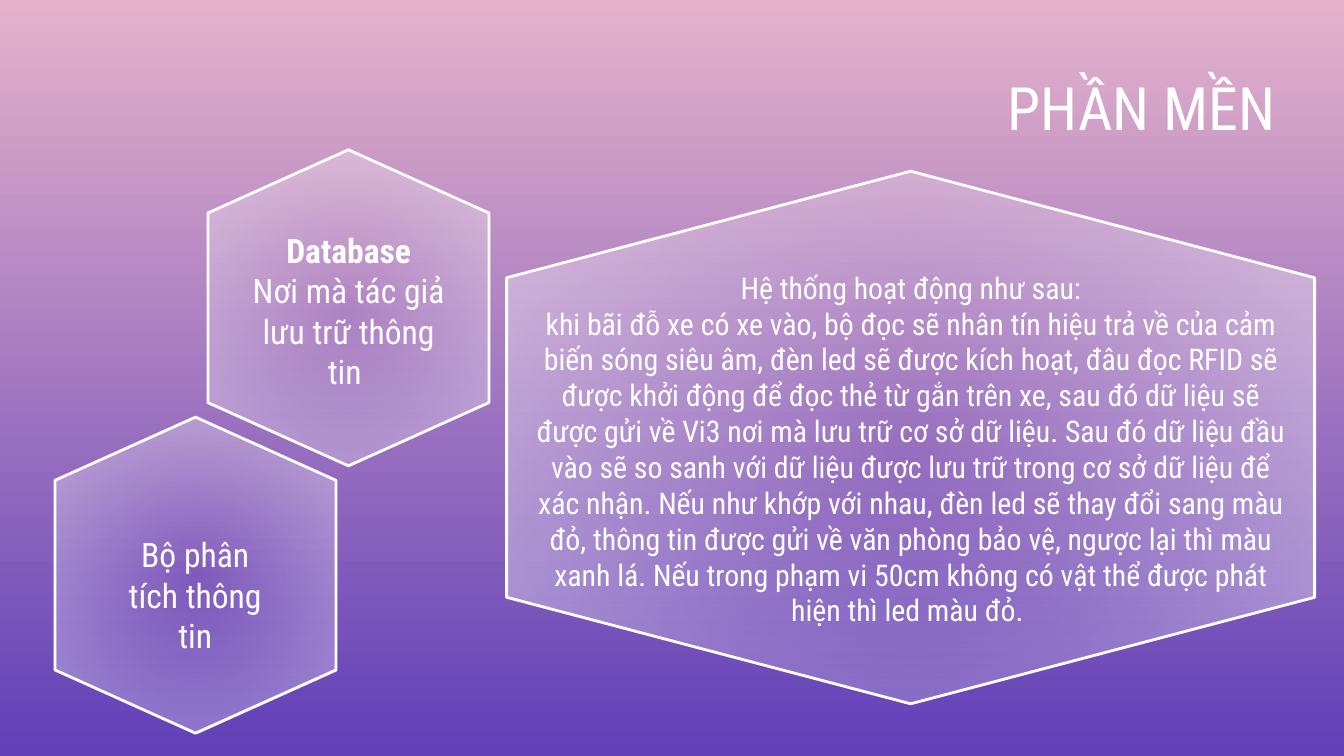
"""Build the slide on the parking system's software."""
import pptx
import pptx.dml.color
import pptx.enum.shapes
import pptx.enum.text
import pptx.oxml
import pptx.oxml.ns
import pptx.util

Cm = pptx.util.Cm
Pt = pptx.util.Pt
RGBColor = pptx.dml.color.RGBColor
Align = pptx.enum.text.PP_ALIGN
Anchor = pptx.enum.text.MSO_ANCHOR
qn = pptx.oxml.ns.qn

FONT = "Roboto Condensed"
WHITE = RGBColor(0xFF, 0xFF, 0xFF)
PINK = RGBColor(0xE5, 0xB2, 0xCA)
PURPLE = RGBColor(0x61, 0x3F, 0xB8)

STEPS = (
    "khi bãi đỗ xe có xe vào, bộ đọc sẽ nhân tín hiệu trả về của cảm biến sóng siêu âm, "
    "đèn led sẽ được kích hoạt, đâu đọc RFID sẽ được khởi động để đọc thẻ từ gắn trên xe, "
    "sau đó dữ liệu sẽ được gửi về Vi3 nơi mà lưu trữ cơ sở dữ liệu. Sau đó dữ liệu đầu vào "
    "sẽ so sanh với dữ liệu được lưu trữ trong cơ sở dữ liệu để xác nhận. Nếu như khớp với "
    "nhau, đèn led sẽ thay đổi sang màu đỏ, thông tin được gửi về văn phòng bảo vệ, ngược "
    "lại thì màu xanh lá. Nếu trong phạm vi 50cm không có vật thể được phát hiện thì led "
    "màu đỏ. "
)


def blend(fill, start, end):
    """Give a fill a two-colour gradient from top to bottom."""
    fill.gradient()
    fill.gradient_angle = 270
    for stop, color in zip(fill.gradient_stops, (start, end)):
        stop.color.rgb = color


def glow(shape):
    """Fade a white fill from a clear centre to a hazy edge."""
    blend(shape.fill, WHITE, WHITE)
    grad = shape._element.spPr.find(qn("a:gradFill"))
    for color, alpha in zip(grad.iter(qn("a:srgbClr")), (0, 39000)):
        color.append(pptx.oxml.parse_xml(
            f'<a:alpha {pptx.oxml.ns.nsdecls("a")} val="{alpha}"/>'))
    grad.replace(grad.find(qn("a:lin")), pptx.oxml.parse_xml(
        f'<a:path {pptx.oxml.ns.nsdecls("a")} path="circle">'
        '<a:fillToRect l="50000" t="50000" r="50000" b="50000"/></a:path>'))


def add_hex(slide, left, top, width, height):
    """Add an upright glowing hexagon, placed by its box before the turn."""
    shape = slide.shapes.add_shape(
        pptx.enum.shapes.MSO_SHAPE.FLOWCHART_PREPARATION,
        Cm(left), Cm(top), Cm(width), Cm(height))
    shape.rotation = 90
    shape.shadow.inherit = False
    glow(shape)
    shape.line.color.rgb = WHITE
    shape.line.width = Pt(1.5)


def write(shape, *lines, size=18, align=Align.CENTER, heads=0, inset=0.25):
    """Write lines into a shape, the first few of them bold."""
    frame = shape.text_frame
    frame.word_wrap = True
    frame.auto_size = pptx.enum.text.MSO_AUTO_SIZE.NONE
    frame.vertical_anchor = Anchor.TOP
    frame.margin_top = frame.margin_bottom = Cm(inset)
    frame.text = "\n".join(lines)
    for index, para in enumerate(frame.paragraphs):
        para.alignment = align
        font = para.runs[0].font
        font.name = FONT
        font.size = Pt(size)
        font.bold = index < heads
        font.color.rgb = WHITE


def add_text(slide, left, top, width, height, *lines, **style):
    """Add a text box with formatted lines."""
    box = slide.shapes.add_textbox(Cm(left), Cm(top), Cm(width), Cm(height))
    write(box, *lines, **style)


def add_title(slide, text):
    """Move the title into place and fill it in."""
    title = slide.shapes.title
    title.left, title.top = Cm(1.04), Cm(1.09)
    title.width, title.height = Cm(23.32), Cm(1.85)
    write(title, text, size=32, align=Align.RIGHT)


def main():
    """Build and save the slide."""
    deck = pptx.Presentation()
    deck.slide_width, deck.slide_height = Cm(25.4), Cm(14.28)
    slide = deck.slides.add_slide(deck.slide_layouts[5])
    blend(slide.background.fill, PINK, PURPLE)
    add_title(slide, "PHẦN MỀN")

    for left, top in ((3.6, 3.16), (0.71, 8.21)):
        add_hex(slide, left, top, 5.97, 5.31)
    add_hex(slide, 12.18, 0.63, 10.06, 15.27)

    add_text(slide, 4.43, 4.09, 4.32, 3.56,
             "Database", "Nơi mà tác giả lưu trữ thông tin ", heads=1)
    add_text(slide, 9.81, 4.84, 14.81, 1.5,
             "Hệ thống hoạt động như sau:", STEPS, size=16)
    add_text(slide, 1.9, 9.96, 3.58, 1.8, "Bộ phân tích thông tin", inset=0.13)
    deck.save("out.pptx")


if __name__ == "__main__":
    main()
